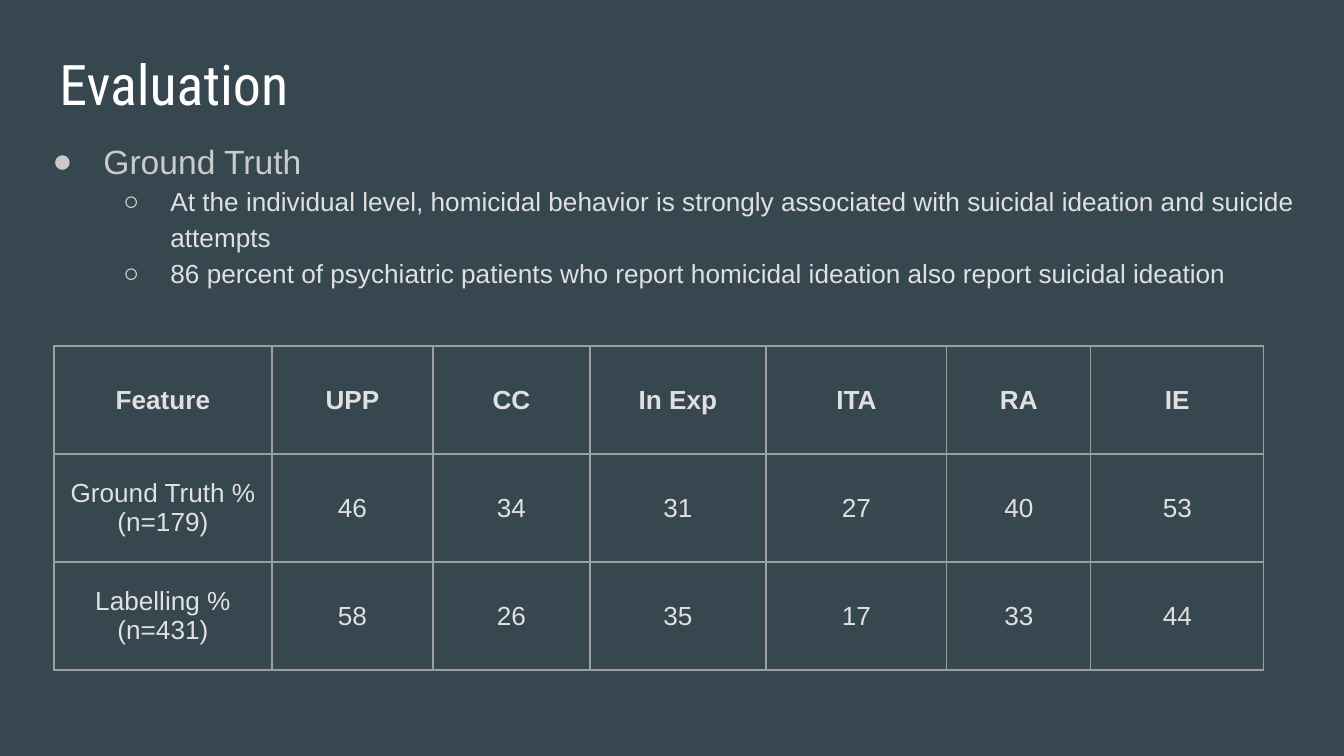
from lxml import etree
from pptx import Presentation
from pptx import util as u
from pptx.dml.color import RGBColor
from pptx.enum import text
from pptx.oxml.ns import qn

SCALE = 914400 / 134.4
COLORS = {
    "background": "37474F",
    "title": "FFFFFF",
    "heading": "CACACA",
    "text": "E0E0E0",
    "border": "9E9E9E",
}
POINTS = [
    (0, "Ground Truth"),
    (1, "At the individual level, homicidal behavior is strongly associated "
        "with suicidal ideation and suicide attempts"),
    (1, "86 percent of psychiatric patients who report homicidal ideation "
        "also report suicidal ideation"),
]
# Per list level: bullet, left margin, hanging indent, text size, colour
LEVELS = [("●", 67, -51, 18, "heading"), ("○", 134, -47, 14, "text")]
COLUMN_WIDTHS = [218, 161, 157, 176, 181, 144, 173]
ROW_HEIGHT = 108
ROWS = [
    ["Feature", "UPP", "CC", "In Exp", "ITA", "RA", "IE"],
    ["Ground Truth % (n=179)", "46", "34", "31", "27", "40", "53"],
    ["Labelling %\n(n=431)", "58", "26", "35", "17", "33", "44"],
]


def px(length):
    return u.Emu(round(length * SCALE))


def color(name):
    return RGBColor.from_string(COLORS[name])


def write(para, words, *, size, shade, font="Arial", bold=False,
          align=text.PP_ALIGN.LEFT, spacing=1.0):
    para.alignment = align
    para.line_spacing = spacing
    para.space_before = para.space_after = u.Pt(0)
    span = para.add_run()
    span.text = words
    span.font.name = font
    span.font.size = u.Pt(size)
    span.font.bold = bold
    span.font.color.rgb = color(shade)


def place(box, left, top, width, height):
    """Move a placeholder and set up its text frame."""
    box.left, box.top, box.width, box.height = map(px, (left, top, width, height))
    frame = box.text_frame
    frame.word_wrap = True
    frame.auto_size = text.MSO_AUTO_SIZE.NONE
    frame.vertical_anchor = text.MSO_ANCHOR.TOP
    frame.margin_left = frame.margin_right = u.Inches(0.1)
    frame.margin_top = frame.margin_bottom = u.Inches(0.1)
    return frame


def add_bullet(para, mark, left, indent, shade):
    props = para._p.get_or_add_pPr()
    props.set("marL", str(px(left)))
    props.set("indent", str(px(indent)))
    tint = etree.SubElement(props, qn("a:buClr"))
    etree.SubElement(tint, qn("a:srgbClr"), val=COLORS[shade])
    etree.SubElement(props, qn("a:buFont"), typeface="Arial")
    etree.SubElement(props, qn("a:buChar"), char=mark)


def fill_list(frame):
    for index, (level, words) in enumerate(POINTS):
        para = frame.add_paragraph() if index else frame.paragraphs[0]
        para.level = level
        mark, left, indent, size, shade = LEVELS[level]
        write(para, words, size=size, shade=shade, spacing=1.15)
        add_bullet(para, mark, left, indent, shade)


def add_borders(cell):
    props = cell._tc.get_or_add_tcPr()
    for side in ("lnL", "lnR", "lnT", "lnB"):
        line = etree.SubElement(props, qn(f"a:{side}"), w=str(u.Pt(0.75)))
        fill = etree.SubElement(line, qn("a:solidFill"))
        etree.SubElement(fill, qn("a:srgbClr"), val=COLORS["border"])


def fill_cell(cell, words, bold):
    add_borders(cell)
    cell.fill.background()
    cell.vertical_anchor = text.MSO_ANCHOR.MIDDLE
    cell.margin_left = cell.margin_right = u.Inches(0.1)
    cell.margin_top = cell.margin_bottom = u.Inches(0.1)
    frame = cell.text_frame
    for index, line in enumerate(words.split("\n")):
        para = frame.add_paragraph() if index else frame.paragraphs[0]
        write(para, line, size=14, shade="text", bold=bold,
              align=text.PP_ALIGN.CENTER)


def add_results(page, left, top):
    table = page.shapes.add_table(
        len(ROWS), len(COLUMN_WIDTHS), px(left), px(top),
        px(sum(COLUMN_WIDTHS)), px(ROW_HEIGHT * len(ROWS))).table
    table.horz_banding = False
    for column, width in zip(table.columns, COLUMN_WIDTHS):
        column.width = px(width)
    for index, (row, values) in enumerate(zip(table.rows, ROWS)):
        row.height = px(ROW_HEIGHT)
        for cell, words in zip(row.cells, values):
            fill_cell(cell, words, bold=index == 0)


def main():
    deck = Presentation()
    deck.slide_width, deck.slide_height = px(1344), px(756)
    page = deck.slides.add_slide(deck.slide_layouts[1])
    page.background.fill.solid()
    page.background.fill.fore_color.rgb = color("background")
    title = place(page.shapes.title, 46, 36, 1253, 85)
    write(title.paragraphs[0], "Evaluation", size=30, shade="title",
          font="Roboto Condensed")
    fill_list(place(page.placeholders[1], 23, 121, 1298, 635))
    add_results(page, 54, 346)
    deck.save("out.pptx")


if __name__ == "__main__":
    main()
